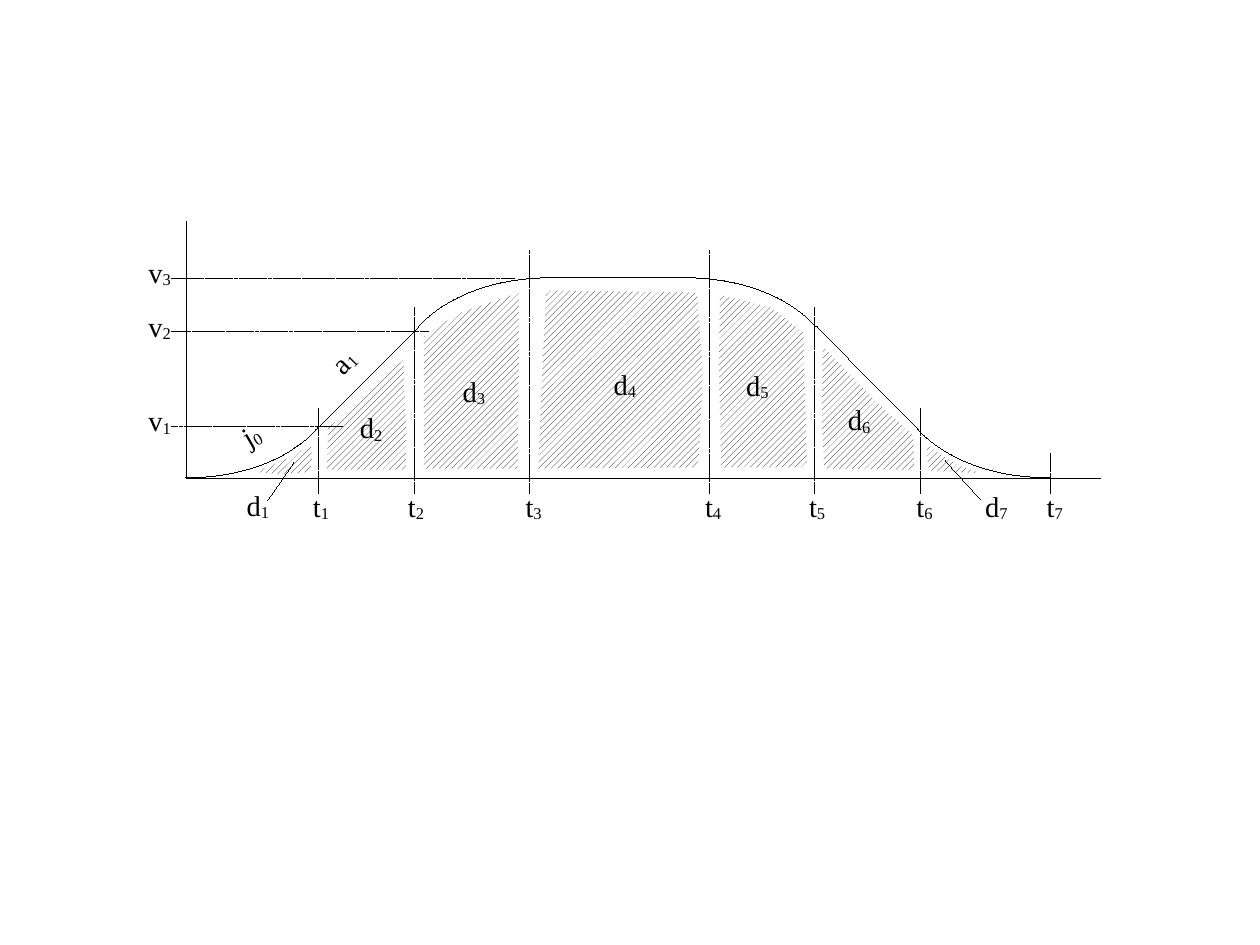
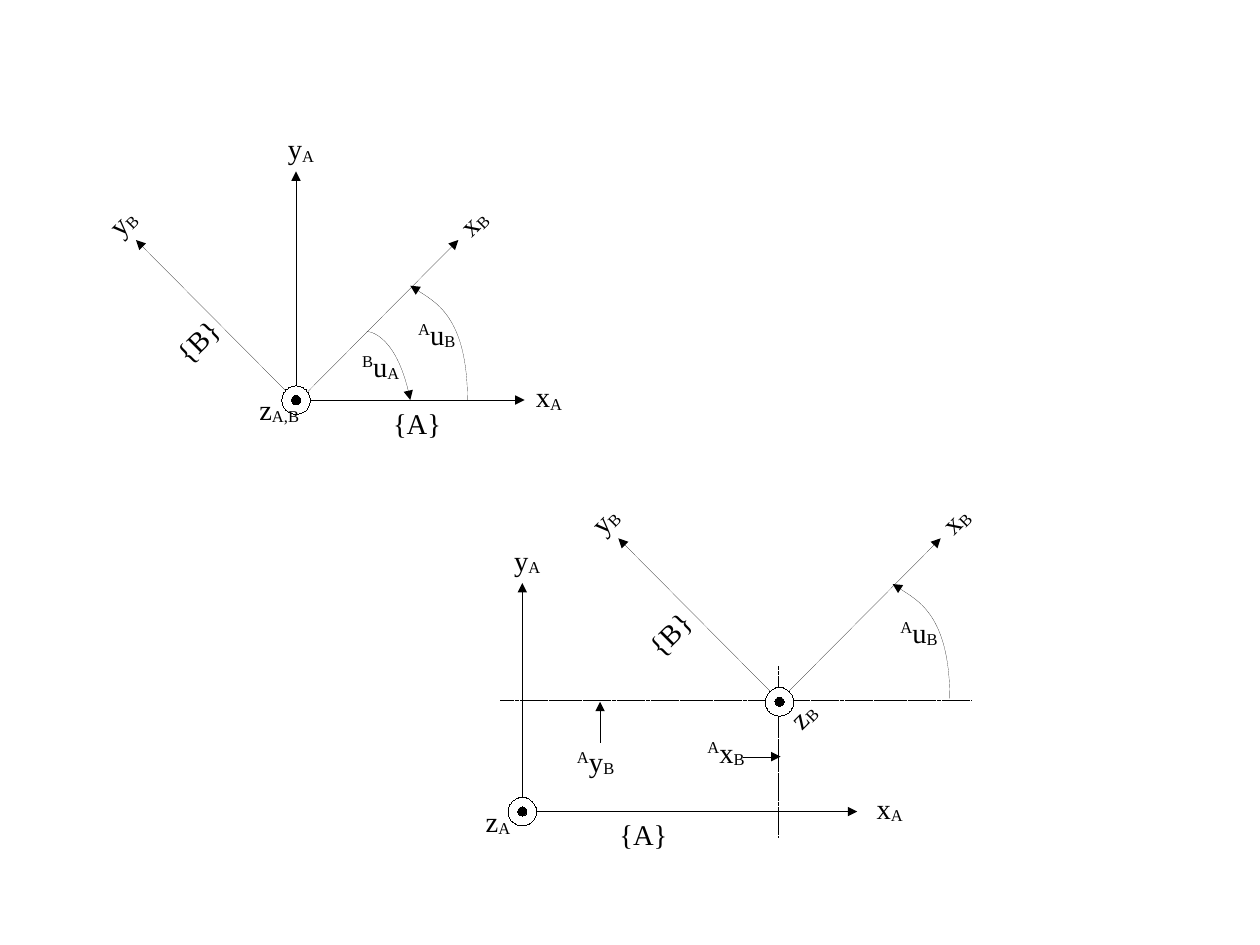
from lxml.etree import SubElement
from pptx import Presentation
from pptx.dml.color import RGBColor
from pptx.enum.dml import MSO_LINE, MSO_PATTERN
from pptx.enum.shapes import MSO_CONNECTOR, MSO_SHAPE
from pptx.enum.text import MSO_AUTO_SIZE
from pptx.oxml.ns import qn
from pptx.util import Inches, Pt

COLORS = {"ink": "000000", "paper": "FFFFFF"}
FONT = "Times New Roman"
SUBSCRIPT, SUPERSCRIPT = -8000, 33000


def color(name):
    return RGBColor.from_string(COLORS[name])


def add_run(paragraph, text, size=18, baseline=0):
    run = paragraph.add_run()
    run.text = text
    run.font.size = Pt(size)
    run.font.name = FONT
    run.font.color.rgb = color("ink")
    if baseline:
        run._r.get_or_add_rPr().set("baseline", str(baseline))


class Diagram:
    """Draws hairline diagrams with indexed labels on the current slide."""

    def __init__(self, presentation):
        self.presentation = presentation
        self.slide = None

    def new_slide(self):
        layout = self.presentation.slide_layouts[6]
        self.slide = self.presentation.slides.add_slide(layout)

    def drop_theme_style(self, shape):
        style = shape._element.find(qn("p:style"))
        if style is not None:
            shape._element.remove(style)

    def outline(self, shape, dashed=False, arrow=False):
        shape.line.color.rgb = color("ink")
        if dashed:
            shape.line.dash_style = MSO_LINE.SQUARE_DOT
        line = shape._element.spPr.find(qn("a:ln"))
        line.set("w", "0")
        if arrow:
            SubElement(line, qn("a:tailEnd")).set("type", "triangle")

    def line(self, start, end, dashed=False, arrow=False):
        connector = self.slide.shapes.add_connector(
            MSO_CONNECTOR.STRAIGHT, *map(Inches, (*start, *end)))
        self.drop_theme_style(connector)
        self.outline(connector, dashed, arrow)
        SubElement(connector._element.spPr, qn("a:effectLst"))

    def freeform(self, points, close):
        start, *others = [(Inches(x), Inches(y)) for x, y in points]
        builder = self.slide.shapes.build_freeform(*start)
        builder.add_line_segments(others, close=close)
        shape = builder.convert_to_shape()
        self.drop_theme_style(shape)
        shape.shadow.inherit = False
        return shape

    def curve(self, points, arrow=False):
        shape = self.freeform(points, False)
        shape.fill.background()
        self.outline(shape, arrow=arrow)
        drawing = next(shape._element.iter(qn("a:path")))
        segments = drawing.findall(qn("a:lnTo"))
        bezier = SubElement(drawing, qn("a:cubicBezTo"))
        for segment in segments:
            bezier.append(segment[0])
            drawing.remove(segment)

    def hatched_area(self, points):
        shape = self.freeform(points, True)
        shape.fill.patterned()
        shape.fill.pattern = MSO_PATTERN.WIDE_UPWARD_DIAGONAL
        shape.fill.fore_color.rgb = color("ink")
        shape.fill.back_color.rgb = color("paper")
        shape.line.fill.background()

    def label(self, x, y, text, sub="", sup="", width=0.43, height=0.48, rotation=0):
        box = self.slide.shapes.add_textbox(*map(Inches, (x, y, width, height)))
        box.rotation = rotation
        frame = box.text_frame
        frame.word_wrap = False
        frame.auto_size = MSO_AUTO_SIZE.SHAPE_TO_FIT_TEXT
        for part, baseline in ((sup, SUPERSCRIPT), (text, 0), (sub, SUBSCRIPT)):
            if part:
                add_run(frame.paragraphs[0], part, baseline=baseline)

    def out_of_plane_axis(self, x, y):
        for size, fill in ((0.25, "paper"), (0.08, "ink")):
            circle = self.slide.shapes.add_shape(
                MSO_SHAPE.OVAL, Inches(x - size / 2), Inches(y - size / 2),
                Inches(size), Inches(size))
            self.drop_theme_style(circle)
            circle.shadow.inherit = False
            circle.fill.solid()
            circle.fill.fore_color.rgb = color(fill)
            self.outline(circle)

    def frame_a(self, x, y, x_length, x_label, z_index, z_width):
        self.label(x + 0.75, y, "{A}", width=0.65, height=0.4)
        self.line((x, y), (x, y - 2), arrow=True)
        self.line((x, y), (x + x_length, y), arrow=True)
        self.label(x + x_label, y - 0.23, "x", "A", width=0.45)
        self.label(x - 0.17, y - 2.4, "y", "A", width=0.45)
        self.out_of_plane_axis(x, y)
        self.label(x - 0.42, y - 0.12, "z", z_index, width=z_width)

    def frame_b(self, x, y, name_x, name_y):
        for side, axis, label_x in ((-1, "y", -1.72), (1, "x", 1.35)):
            self.line((x, y), (x + side * 1.41, y - 1.42), arrow=True)
            self.label(x + label_x, y - 1.8, axis, "B", width=0.44, rotation=315)
        self.label(name_x, name_y, "{B}", width=0.64, height=0.4, rotation=315)
        tip = (x + 0.99, y - 1.02)
        self.curve([(x + 1.49, y - 0.02), (x + 1.49, y - 0.77), tip, tip], arrow=True)
        self.label(x + 0.96, y - 0.8, "u", "B", "A", width=0.56)


def velocity_profile(diagram):
    diagram.new_slide()
    areas = [
        [(2.54, 4), (2.24, 4.13), (2.45, 4.15), (2.71, 4.13), (2.73, 4.03), (2.72, 3.89)],
        [(3.27, 3.39), (2.87, 3.75), (2.86, 4.11), (3.55, 4.11), (3.55, 3.64), (3.53, 3.15)],
        [(3.99, 2.75), (3.71, 2.95), (3.71, 4.1), (4.53, 4.1), (4.54, 3.26), (4.54, 2.56)],
        [(4.78, 2.54), (4.74, 3.34), (4.71, 4.1), (6.11, 4.09), (6.15, 3.26), (6.1, 2.56)],
        [(6.3, 2.58), (6.29, 3.2), (6.31, 4.09), (7.06, 4.09), (7.03, 2.91), (6.75, 2.69)],
        [(7.2, 3.03), (7.19, 3.63), (7.21, 4.1), (8, 4.11), (7.99, 3.81), (7.67, 3.52)],
        [(8.11, 3.88), (8.11, 4), (8.13, 4.12), (8.58, 4.14), (8.38, 4.07), (8.25, 3.99)],
    ]
    for area in areas:
        diagram.hatched_area(area)

    bends = [((1.62, 4.18), (2.78, 3.74)), ((4.83, 2.43), (3.66, 2.86)),
             ((5.98, 2.43), (7.14, 2.86)), ((9.19, 4.18), (8.02, 3.74))]
    for flat, steep in bends:
        control = (flat[0] + (steep[0] - flat[0]) * 0.72, flat[1])
        diagram.curve([flat, control, steep, steep])
    straights = [((2.78, 3.74), (3.66, 2.86)), ((4.83, 2.43), (5.99, 2.43)),
                 ((8.02, 3.74), (7.15, 2.86))]
    axes = [((1.63, 4.19), (9.63, 4.19)), ((1.63, 4.19), (1.63, 1.94))]
    leaders = [((2.34, 4.38), (2.57, 4.05)), ((8.58, 4.37), (8.27, 4.03))]
    for start, end in straights + axes + leaders:
        diagram.line(start, end)

    times = [(2.79, 3.57, 2.64), (3.63, 2.69, 3.47), (4.63, 2.19, 4.5), (6.21, 2.19, 6.07),
             (7.13, 2.69, 6.98), (8.05, 3.57, 7.92), (9.19, 3.97, 9.06)]
    for index, (x, top, label_x) in enumerate(times, 1):
        diagram.line((x, top), (x, 4.32), dashed=True)
        diagram.label(label_x, 4.23, "t", str(index), width=0.36)
    speeds = [(3, 3.73, 3.48), (3.75, 2.9, 2.65), (4.5, 2.44, 2.18)]
    for index, (right, y, label_y) in enumerate(speeds, 1):
        diagram.line((right, y), (1.5, y), dashed=True)
        diagram.label(1.2, label_y, "v", str(index))
    distances = [(2.06, 4.22), (3.05, 3.54), (3.95, 3.22), (5.27, 3.16),
                 (6.43, 3.17), (7.32, 3.47), (8.52, 4.23)]
    for index, (x, y) in enumerate(distances, 1):
        diagram.label(x, y, "d", str(index))
    diagram.label(2.83, 2.93, "a", "1", width=0.42, rotation=315)
    diagram.label(2.04, 3.59, "j", "0", width=0.36, rotation=330)


def coordinate_frames(diagram):
    diagram.new_slide()
    diagram.frame_b(2.6, 3.52, 1.42, 2.77)
    start = (3.21, 2.9)
    diagram.curve([start, start, (3.47, 2.9), (3.59, 3.5)], arrow=True)
    diagram.label(3.07, 3, "u", "A", "B", width=0.56)
    diagram.frame_a(2.59, 3.5, 2, 2, "A,B", 0.58)

    diagram.frame_a(4.57, 7.1, 2.93, 3, "A", 0.45)
    diagram.frame_b(6.82, 6.13, 5.55, 5.33)
    diagram.line((6.81, 5.83), (6.81, 7.33), dashed=True)
    diagram.line((4.38, 6.13), (8.5, 6.13), dashed=True)
    diagram.line((6.5, 6.62), (6.83, 6.62), arrow=True)
    diagram.line((5.25, 6.5), (5.25, 6.14), arrow=True)
    diagram.label(6.09, 6.38, "x", "B", "A", width=0.56)
    diagram.label(4.95, 6.46, "y", "B", "A", width=0.56)
    diagram.out_of_plane_axis(6.82, 6.14)
    diagram.label(6.84, 6.03, "z", "B", width=0.44, rotation=315)


def main():
    presentation = Presentation()
    presentation.slide_width = Inches(28 / 2.54)
    presentation.slide_height = Inches(21 / 2.54)
    diagram = Diagram(presentation)
    velocity_profile(diagram)
    coordinate_frames(diagram)
    presentation.save("out.pptx")


if __name__ == "__main__":
    main()
